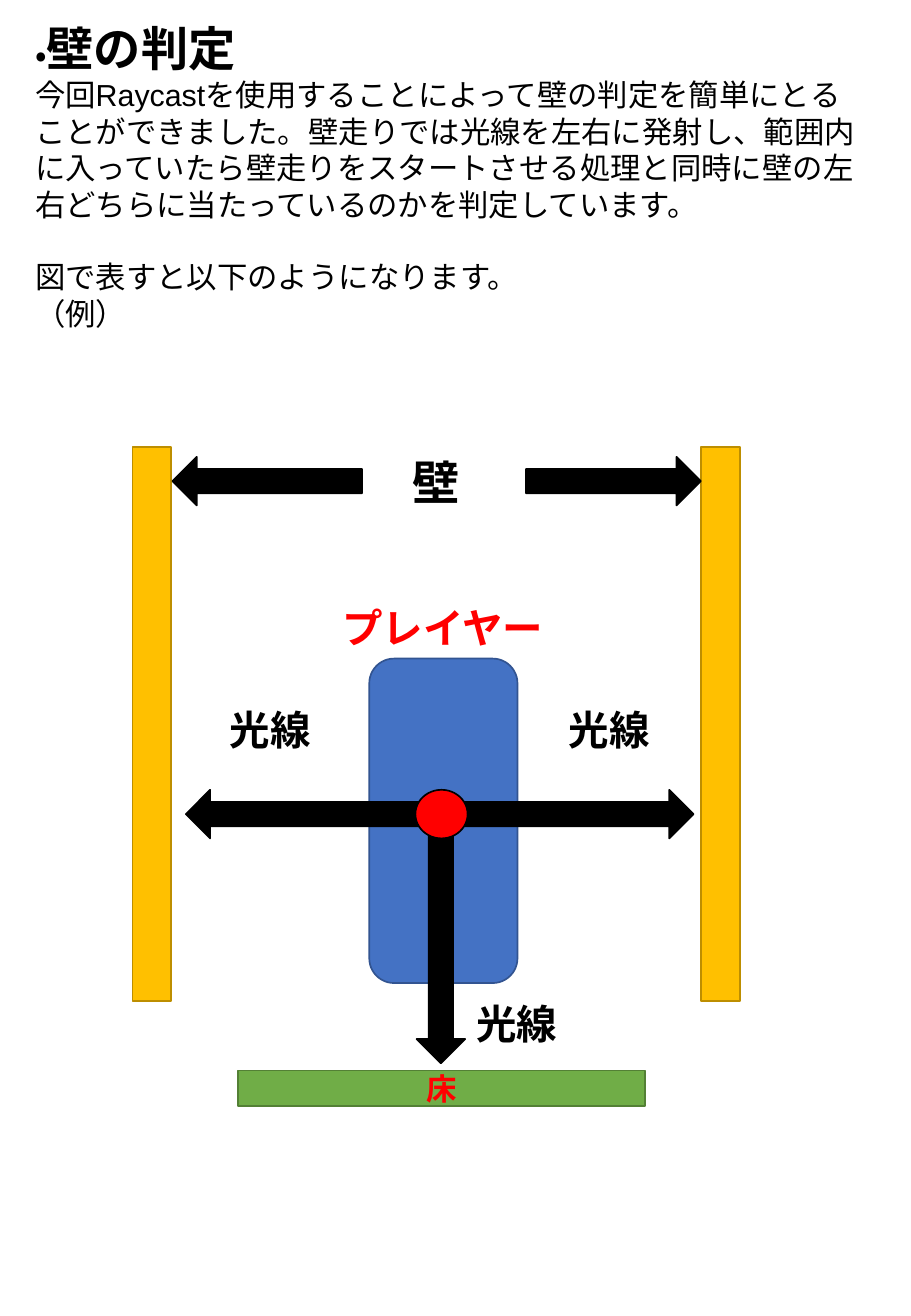
from pptx import Presentation
from pptx.dml.color import RGBColor
from pptx.enum.lang import MSO_LANGUAGE_ID
from pptx.enum.shapes import MSO_SHAPE
from pptx.enum.text import MSO_ANCHOR, MSO_AUTO_SIZE, PP_ALIGN
from pptx.util import Emu, Pt

PX = 9144  # 100 px to the inch
C = {
    "black": "000000", "red": "FF0000",
    "player": "4472C4", "player_line": "325491",
    "wall": "FFC000", "wall_line": "BD8E00",
    "floor": "70AD47", "floor_line": "538035",
}
TITLE = [("・", 18), ("壁の判定", 28)]
EXPLANATION = [
    ("今回", "Calibri"),
    ("Raycast", "Arial"),
    ("を使用することによって壁の判定を簡単にとることができました。"
     "壁走りでは光線を左右に発射し、範囲内に入っていたら壁走りをスタートさせる処理と同時に"
     "壁の左右どちらに当たっているのかを判定しています。", "Calibri"),
]


def box(*lengths):
    return [Emu(n * PX) for n in lengths]


def rgb(name):
    return RGBColor.from_string(C[name])


def add_run(p, text, size, color="black", bold=False, font="Calibri"):
    r = p.add_run()
    r.text = text
    r.font.name = font
    r.font.size = Pt(size)
    r.font.bold = bold
    r.font.color.rgb = rgb(color)
    r.font.language_id = MSO_LANGUAGE_ID.JAPANESE


def add_title(s, x, y, w, h):
    sp = s.shapes.title
    sp.left, sp.top, sp.width, sp.height = box(x, y, w, h)
    tf = sp.text_frame
    tf.auto_size = MSO_AUTO_SIZE.NONE
    tf.vertical_anchor = MSO_ANCHOR.TOP
    p = tf.paragraphs[0]
    p.alignment = PP_ALIGN.LEFT
    for text, size in TITLE:
        add_run(p, text, size, bold=True)


def add_body(s, x, y, w, h):
    tf = s.shapes.add_textbox(*box(x, y, w, h)).text_frame
    tf.word_wrap = True
    tf.margin_top = 0
    p = tf.paragraphs[0]
    for text, font in EXPLANATION:
        add_run(p, text, 18, font=font)
    p = tf.add_paragraph()
    p.space_before = Pt(21.5)
    add_run(p, "図で表すと以下のようになります。", 18)
    add_run(tf.add_paragraph(), "（例）", 18)


def add_label(s, text, x, y, w, h, size=24, color="black"):
    tf = s.shapes.add_textbox(*box(x, y, w, h)).text_frame
    tf.word_wrap = True
    p = tf.paragraphs[0]
    p.alignment = PP_ALIGN.CENTER
    add_run(p, text, size, color, bold=True)


def add_block(s, kind, x, y, w, h, fill="black", line="black"):
    sp = s.shapes.add_shape(kind, *box(x, y, w, h))
    sp.shadow.inherit = False
    sp.fill.solid()
    sp.fill.fore_color.rgb = rgb(fill)
    sp.line.color.rgb = rgb(line)
    sp.line.width = Pt(1)
    return sp


def add_floor(s, x, y, w, h):
    sp = add_block(s, MSO_SHAPE.RECTANGLE, x, y, w, h, "floor", "floor_line")
    tf = sp.text_frame
    tf.vertical_anchor = MSO_ANCHOR.MIDDLE
    p = tf.paragraphs[0]
    p.alignment = PP_ALIGN.CENTER
    add_run(p, "床", 18, "red", bold=True)


def main():
    prs = Presentation()
    prs.slide_width, prs.slide_height = box(750, 1083)
    s = prs.slides.add_slide(prs.slide_layouts[5])
    add_title(s, 19, 11, 697, 52)
    add_body(s, 19, 63, 697, 217)

    add_block(s, MSO_SHAPE.FLOWCHART_ALTERNATE_PROCESS,
              304, 542, 122, 267, "player", "player_line")
    for x in (109, 577):
        add_block(s, MSO_SHAPE.RECTANGLE, x, 368, 32, 456, "wall", "wall_line")

    arrows = [
        (MSO_SHAPE.LEFT_ARROW, 142, 376, 156, 40),
        (MSO_SHAPE.RIGHT_ARROW, 433, 376, 144, 40),
        (MSO_SHAPE.LEFT_ARROW, 153, 650, 201, 40),
        (MSO_SHAPE.RIGHT_ARROW, 366, 650, 205, 40),
        (MSO_SHAPE.DOWN_ARROW, 343, 670, 40, 205),
    ]
    for kind, *place in arrows:
        add_block(s, kind, *place)

    add_floor(s, 196, 881, 335, 29)
    add_block(s, MSO_SHAPE.OVAL, 342, 650, 43, 40, "red")

    add_label(s, "壁", 298, 368, 122, 57, size=28)
    add_label(s, "プレイヤー", 262, 491, 205, 50, color="red")
    for x, y in ((149, 575), (428, 575), (352, 817)):
        add_label(s, "光線", x, y, 147, 50)
    prs.save("out.pptx")


if __name__ == "__main__":
    main()
